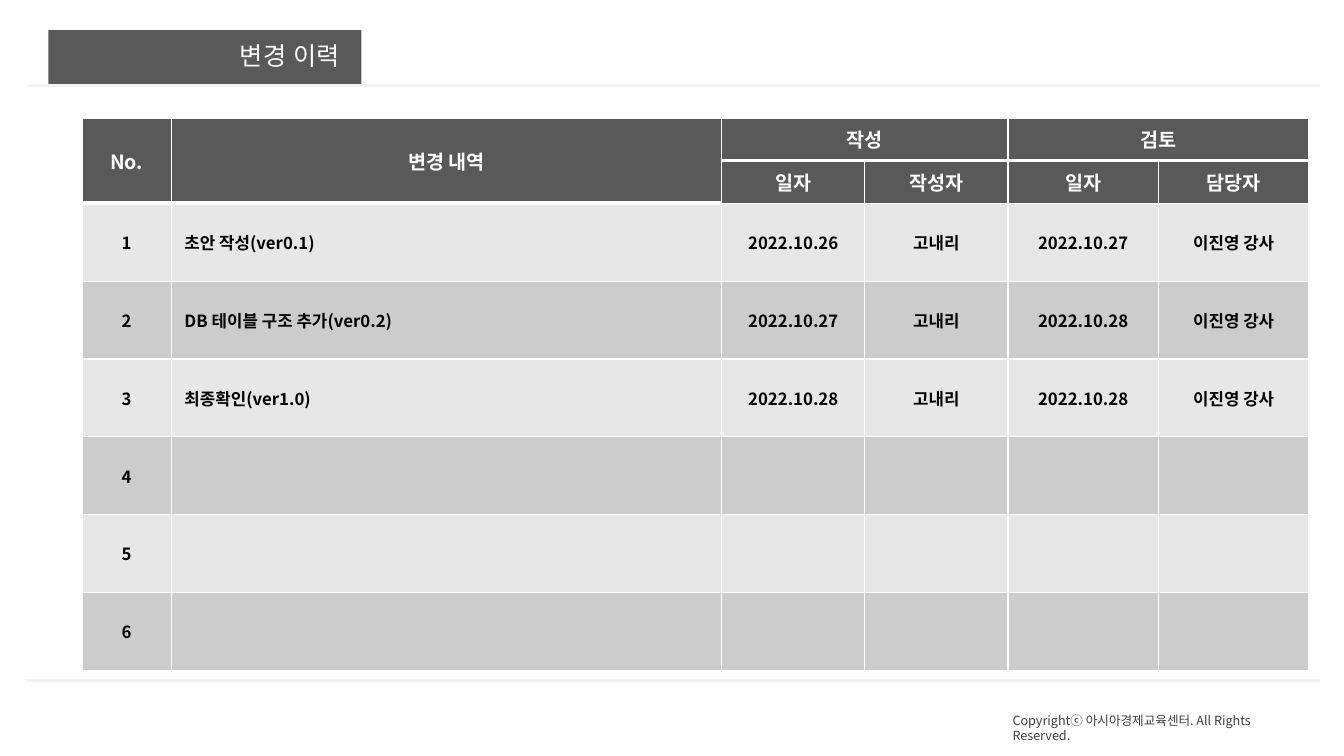
import dataclasses
import typing

import lxml.etree
import pptx
import pptx.dml.color
import pptx.enum.shapes
import pptx.enum.text
import pptx.oxml.ns
import pptx.util

RGBColor = pptx.dml.color.RGBColor
Align = pptx.enum.text.PP_ALIGN
Anchor = pptx.enum.text.MSO_ANCHOR
qn = pptx.oxml.ns.qn

WHITE = RGBColor(0xFF, 0xFF, 0xFF)
BLACK = RGBColor(0x00, 0x00, 0x00)
CHARCOAL = RGBColor(0x59, 0x59, 0x59)
FOOTER_GREY = RGBColor(0x40, 0x40, 0x40)
RULE_GREY = RGBColor(0xF2, 0xF2, 0xF2)
LIGHT_BAND = RGBColor(0xE7, 0xE7, 0xE7)
DARK_BAND = RGBColor(0xCC, 0xCC, 0xCC)

KOREAN_FONT = "Noto Sans CJK KR"
SLIDE_WIDTH = pptx.util.Inches(13.333)
SLIDE_HEIGHT = pptx.util.Inches(7.5)

# Shares are percentages of the slide's width (columns) and height (rows).
COLUMN_SHARES = (6.65, 40.95, 10.65, 10.65, 11.2, 11.2)
HEADER_SHARE, BODY_SHARE = 5.6, 10.3
HEADER_ROWS = 2
DESCRIPTION_COLUMN = 1

HISTORY = (
    ("No.", "변경 내역", "작성", "", "검토", ""),
    ("", "", "일자", "작성자", "일자", "담당자"),
    ("1", "초안 작성(ver0.1)", "2022.10.26", "고내리", "2022.10.27", "이진영 강사"),
    ("2", "DB 테이블 구조 추가(ver0.2)", "2022.10.27", "고내리", "2022.10.28", "이진영 강사"),
    ("3", "최종확인(ver1.0)", "2022.10.28", "고내리", "2022.10.28", "이진영 강사"),
    ("4", "", "", "", "", ""),
    ("5", "", "", "", "", ""),
    ("6", "", "", "", "", ""),
)
MERGES = (((0, 0), (1, 0)), ((0, 1), (1, 1)), ((0, 2), (0, 3)), ((0, 4), (0, 5)))


@dataclasses.dataclass(frozen=True)
class Area:
    """A rectangle in percentages of the slide."""
    left: float
    top: float
    width: float
    height: float

    def lengths(self) -> tuple[int, int, int, int]:
        return across(self.left), down(self.top), across(self.width), down(self.height)


@dataclasses.dataclass(frozen=True)
class TextStyle:
    size: float
    color: RGBColor
    font: str = KOREAN_FONT
    bold: bool = False
    align: Align = Align.LEFT
    line_spacing: typing.Optional[float] = None


@dataclasses.dataclass(frozen=True)
class Label:
    text: str
    area: Area
    style: TextStyle


LABELS = (
    Label("변경 이력", Area(3.3, 5.07, 22.7, 5.2),
          TextStyle(18, WHITE, font="Arial", align=Align.RIGHT, line_spacing=0.9)),
    Label("Copyrightⓒ 아시아경제교육센터. All Rights Reserved.",
          Area(74.6, 93.6, 22.95, 3.3), TextStyle(9, FOOTER_GREY)),
)
TITLE_BAND = Area(3.6, 4, 23.3, 7.3)
RULES = (Area(2, 11.33, 96.25, 0), Area(2, 90, 96.25, 0))
HISTORY_AREA = Area(6.1, 15.6, sum(COLUMN_SHARES),
                    HEADER_ROWS * HEADER_SHARE + (len(HISTORY) - HEADER_ROWS) * BODY_SHARE)


def across(share: float) -> int:
    return round(SLIDE_WIDTH * share / 100)


def down(share: float) -> int:
    return round(SLIDE_HEIGHT * share / 100)


def write(frame, text: str, style: TextStyle) -> None:
    para = frame.paragraphs[0]
    para.text = text
    para.alignment = style.align
    if style.line_spacing:
        para.line_spacing = style.line_spacing
    para.font.size = pptx.util.Pt(style.size)
    para.font.bold = style.bold
    para.font.color.rgb = style.color
    para.font.name = style.font
    defaults = para._p.pPr.find(qn("a:defRPr"))
    lxml.etree.SubElement(defaults, qn("a:ea"), typeface=style.font)


def add_label(page, label: Label) -> None:
    box = page.shapes.add_textbox(*label.area.lengths())
    box.text_frame.word_wrap = True
    write(box.text_frame, label.text, label.style)


def add_title_band(page) -> None:
    band = page.shapes.add_shape(pptx.enum.shapes.MSO_SHAPE.RECTANGLE, *TITLE_BAND.lengths())
    band.shadow.inherit = False
    band.fill.solid()
    band.fill.fore_color.rgb = CHARCOAL
    band.line.fill.background()


def add_rule(page, area: Area) -> None:
    left, top, width, height = area.lengths()
    rule = page.shapes.add_connector(
        pptx.enum.shapes.MSO_CONNECTOR.STRAIGHT, left, top, left + width, top + height)
    rule.line.color.rgb = RULE_GREY
    rule.line.width = pptx.util.Pt(2.25)
    lxml.etree.SubElement(rule._element.spPr, qn("a:effectLst"))


def add_borders(cell, bottom: float) -> None:
    """Draw white borders, 1 pt thick except at the bottom."""
    properties = cell._tc.get_or_add_tcPr()
    for side, points in (("L", 1), ("R", 1), ("T", 1), ("B", bottom)):
        border = lxml.etree.SubElement(
            properties, qn(f"a:ln{side}"), w=str(pptx.util.Pt(points)))
        fill = lxml.etree.SubElement(border, qn("a:solidFill"))
        lxml.etree.SubElement(fill, qn("a:srgbClr"), val=str(WHITE))


def format_cell(cell, row: int, column: int) -> None:
    is_header = row < HEADER_ROWS
    ends_merge = row == 0 or (row == 1 and column <= DESCRIPTION_COLUMN)
    add_borders(cell, 3 if ends_merge else 1)
    cell.fill.solid()
    cell.fill.fore_color.rgb = (
        CHARCOAL if is_header else DARK_BAND if row % 2 else LIGHT_BAND)
    cell.vertical_anchor = Anchor.MIDDLE
    cell.margin_left = cell.margin_right = pptx.util.Inches(0.13)
    cell.margin_top = cell.margin_bottom = pptx.util.Inches(0.07)
    left_aligned = not is_header and column == DESCRIPTION_COLUMN
    style = TextStyle(14 if is_header else 12, WHITE if is_header else BLACK, bold=True,
                      align=Align.LEFT if left_aligned else Align.CENTER)
    write(cell.text_frame, HISTORY[row][column], style)


def add_history(page) -> None:
    table = page.shapes.add_table(
        len(HISTORY), len(COLUMN_SHARES), *HISTORY_AREA.lengths()).table
    table.first_row = table.horz_banding = False
    for column, share in zip(table.columns, COLUMN_SHARES):
        column.width = across(share)
    for index, row in enumerate(table.rows):
        row.height = down(HEADER_SHARE if index < HEADER_ROWS else BODY_SHARE)
        for column, cell in enumerate(row.cells):
            format_cell(cell, index, column)
    for first, last in MERGES:
        table.cell(*first).merge(table.cell(*last))


def main() -> None:
    deck = pptx.Presentation()
    deck.slide_width, deck.slide_height = SLIDE_WIDTH, SLIDE_HEIGHT
    page = deck.slides.add_slide(deck.slide_layouts[6])
    add_history(page)
    add_title_band(page)
    for rule in RULES:
        add_rule(page, rule)
    for label in LABELS:
        add_label(page, label)
    deck.save("out.pptx")


if __name__ == "__main__":
    main()
